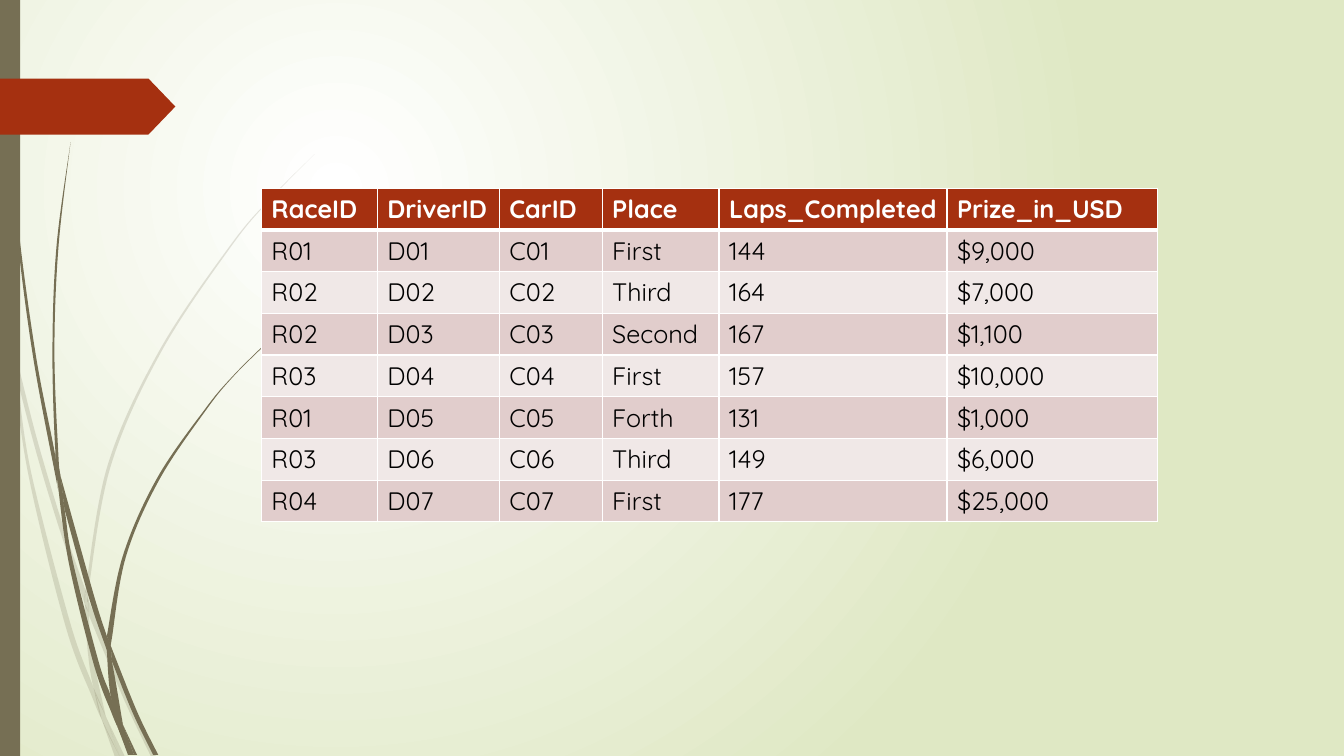
from lxml.etree import SubElement
from pptx import Presentation
from pptx.dml.color import RGBColor
from pptx.enum.shapes import MSO_SHAPE
from pptx.oxml.ns import qn
from pptx.util import Inches, Pt

WIDTH, HEIGHT = Inches(13.33), Inches(7.5)
FONT = "Quicksand"
WHITE, BLACK, MIST = "FFFFFF", "000000", "DFE8C4"
OLIVE, RUST = "766F54", "A53010"
BANDS = ["E1CDCC", "F0E8E7"]

COLUMN_WIDTHS = [1.15, 1.21, 1.02, 1.16, 2.26, 2.09]
RACES = [
    ["RaceID", "DriverID", "CarID", "Place", "Laps_Completed", "Prize_in_USD"],
    ["R01", "D01", "C01", "First", "144", "$9,000"],
    ["R02", "D02", "C02", "Third", "164", "$7,000"],
    ["R02", "D03", "C03", "Second", "167", "$1,100"],
    ["R03", "D04", "C04", "First", "157", "$10,000"],
    ["R01", "D05", "C05", "Forth", "131", "$1,000"],
    ["R03", "D06", "C06", "Third", "149", "$6,000"],
    ["R04", "D07", "C07", "First", "177", "$25,000"],
]

PALE_BLADES = [
    ([(0, 2.82), (0.09, 3.22), (0.11, 3.5)], [(0, 2.99), (0.1, 3.44), (0.11, 3.5)]),
    ([(0.14, 3.45), (0.36, 4.33), (0.62, 5.2), (0.85, 5.86)],
     [(0.17, 3.76), (0.36, 4.49), (0.58, 5.22), (0.84, 5.99)]),
    ([(0.88, 5.96), (1.27, 6.92), (1.55, 7.51)], [(0.88, 6.1), (1.23, 6.94), (1.5, 7.51)]),
    ([(1.05, 7.11), (1.24, 7.51)], [(1.05, 7.11), (1.19, 7.51)]),
    ([(0.11, 3.5), (0.17, 3.76), (0.31, 4.69), (0.7, 6.19), (0.93, 6.83), (1.01, 7.14)],
     [(0.11, 3.5), (0.28, 4.7), (0.65, 6.21), (0.92, 6.93), (1.01, 7.14)]),
    ([(0.84, 5.99), (0.88, 6.1), (0.91, 6.46), (1.05, 7.11)],
     [(0.84, 5.99), (0.87, 6.46), (0.93, 6.83), (1.05, 7.11)]),
    ([(3.12, 1.53), (2.68, 1.98), (2.29, 2.45), (1.6, 3.49), (1.1, 4.62), (0.88, 5.84),
      (0.88, 5.96)],
     [(3.12, 1.53), (2.68, 1.97), (2.28, 2.44), (1.58, 3.48), (1.07, 4.61), (0.85, 5.84),
      (0.85, 5.86)]),
    ([(1.01, 7.14), (1.19, 7.51)], [(1.01, 7.14), (1.14, 7.51)]),
    ([(0.85, 5.86), (0.88, 5.96), (0.88, 6.1)], [(0.85, 5.86), (0.84, 5.99), (0.88, 6.08)]),
    ([(0.93, 6.83), (1.05, 7.11), (1.19, 7.51)], [(0.93, 6.83), (1.01, 7.14), (1.19, 7.51)]),
]
DARK_BLADES = [
    ([(0.04, 0), (0.08, 1.09), (0.19, 2.32), (0.36, 3.55), (0.55, 4.53), (0.57, 4.81)],
     [(0.03, 0), (0.07, 1.1), (0.17, 2.33), (0.33, 3.55), (0.56, 4.77), (0.57, 4.81)]),
    ([(0.6, 4.72), (0.93, 5.9), (1.06, 6.31)], [(0.64, 5.05), (0.88, 5.92), (1.06, 6.45)]),
    ([(1.1, 6.41), (1.36, 7.06), (1.57, 7.49)], [(1.11, 6.56), (1.32, 7.08), (1.52, 7.49)]),
    ([(0.57, 4.77), (0.64, 5.05), (0.72, 5.56), (0.98, 6.57), (1.1, 6.91), (1.17, 7.22)],
     [(0.57, 4.77), (0.68, 5.57), (0.93, 6.59), (1.11, 7.08), (1.17, 7.22)]),
    ([(0.7, 1.41), (0.58, 2.45), (0.54, 3.49), (0.58, 4.53), (0.6, 4.72)],
     [(0.7, 1.41), (0.56, 2.45), (0.52, 3.49), (0.55, 4.49), (0.6, 4.72)]),
    ([(1.22, 7.19), (1.36, 7.49)], [(1.22, 7.19), (1.33, 7.49)]),
    ([(0.55, 4.49), (0.6, 4.72), (0.64, 5.05)], [(0.55, 4.53), (0.57, 4.77), (0.64, 5.05)]),
    ([(2.61, 3.44), (2.31, 3.74), (2.05, 4.06), (1.58, 4.76), (1.25, 5.52), (1.11, 6.33),
      (1.1, 6.41)],
     [(2.6, 3.44), (2.31, 3.73), (2.04, 4.05), (1.56, 4.74), (1.22, 5.51), (1.06, 6.31)]),
    ([(1.17, 7.22), (1.31, 7.49)], [(1.17, 7.22), (1.27, 7.49)]),
    ([(1.06, 6.45), (1.11, 6.56), (1.22, 7.19)], [(1.06, 6.45), (1.1, 6.91), (1.22, 7.19)]),
    ([(1.06, 6.31), (1.1, 6.41), (1.11, 6.56)], [(1.06, 6.31), (1.06, 6.45), (1.11, 6.56)]),
    ([(1.1, 6.91), (1.22, 7.19), (1.33, 7.49)], [(1.1, 6.91), (1.17, 7.22), (1.3, 7.49)]),
]


def across(percent):
    return round(WIDTH * percent / 100)


def down(percent):
    return round(HEIGHT * percent / 100)


def colour(text):
    return RGBColor.from_string(text)


def paint(shape, fill, opacity=100):
    shape.shadow.inherit = False
    shape.line.fill.background()
    shape.fill.solid()
    shape.fill.fore_color.rgb = colour(fill)
    if opacity < 100:
        tone = shape.element.spPr.find(qn("a:solidFill"))[0]
        SubElement(tone, qn("a:alpha")).set("val", str(opacity * 1000))


def add_background(slide):
    fill = slide.background.fill
    fill.gradient()
    for stop, tone in zip(fill.gradient_stops, [WHITE, MIST]):
        stop.color.rgb = colour(tone)
    gradient = slide.element.find(".//" + qn("a:gradFill"))
    linear = gradient.find(qn("a:lin"))
    radial = SubElement(gradient, qn("a:path"))
    radial.set("path", "circle")
    centre = SubElement(radial, qn("a:fillToRect"))
    for side, share in zip("ltrb", [50, 50, 100, 100]):
        centre.set(side, str(share * 1000))
    gradient.replace(linear, radial)


def bend(lines, side):
    padded = [side[0], *side, side[-1]]
    for line, a, b, c, d in zip(lines, padded, padded[1:], padded[2:], padded[3:]):
        curve = line.makeelement(qn("a:cubicBezTo"))
        first = [q + (r - p) / 6 for p, q, r in zip(a, b, c)]
        second = [r - (s - q) / 6 for q, r, s in zip(b, c, d)]
        for x, y in [first, second, c]:
            SubElement(curve, qn("a:pt"), x=str(round(x)), y=str(round(y)))
        line.getparent().replace(line, curve)


def add_blade(slide, right, left, opacity):
    outline = right + left[::-1]
    points = [(Inches(x), Inches(y)) for x, y in outline]
    builder = slide.shapes.build_freeform(*points[0])
    builder.add_line_segments(points[1:], close=True)
    shape = builder.convert_to_shape()
    local = [(x - shape.left, y - shape.top) for x, y in points]
    lines = list(shape.element.iter(qn("a:lnTo")))
    turn = len(right)
    bend(lines[:turn - 1], local[:turn])
    bend(lines[turn:], local[turn:])
    paint(shape, OLIVE, opacity)


def add_block(slide, kind, top, width, height, fill):
    shape = slide.shapes.add_shape(kind, 0, down(top), across(width), down(height))
    paint(shape, fill)
    return shape


def add_borders(cell, widths):
    properties = cell._tc.get_or_add_tcPr()
    for position, (side, width) in enumerate(widths.items()):
        line = properties.makeelement(qn("a:ln" + side), {"w": str(Pt(width))})
        fill = SubElement(line, qn("a:solidFill"))
        SubElement(fill, qn("a:srgbClr")).set("val", WHITE)
        properties.insert(position, line)


def fill_cell(cell, text, row):
    header = row == 0
    cell.fill.solid()
    cell.fill.fore_color.rgb = colour(RUST if header else BANDS[(row - 1) % 2])
    run = cell.text_frame.paragraphs[0].add_run()
    run.text = text
    run.font.name = FONT
    run.font.size = Pt(18)
    run.font.bold = header
    run.font.color.rgb = colour(WHITE if header else BLACK)
    add_borders(cell, {"L": 1, "R": 1, "T": 3 if row == 1 else 1, "B": 3 if header else 1})


def add_race_table(slide):
    row_height = down(5.4)
    frame = slide.shapes.add_table(
        len(RACES), len(COLUMN_WIDTHS), across(19.45), down(24.9),
        Inches(sum(COLUMN_WIDTHS)), row_height * len(RACES))
    table = frame.table
    table.horz_banding = False
    for column, width in zip(table.columns, COLUMN_WIDTHS):
        column.width = Inches(width)
    for row, values in enumerate(RACES):
        table.rows[row].height = row_height
        for column, text in enumerate(values):
            fill_cell(table.cell(row, column), text, row)


def main():
    presentation = Presentation()
    presentation.slide_width, presentation.slide_height = WIDTH, HEIGHT
    slide = presentation.slides.add_slide(presentation.slide_layouts[6])
    add_background(slide)
    for blades, opacity in [(PALE_BLADES, 20), (DARK_BLADES, 100)]:
        for right, left in blades:
            add_blade(slide, right, left, opacity)
    add_block(slide, MSO_SHAPE.RECTANGLE, 0, 1.5, 100, OLIVE)
    flag = add_block(slide, MSO_SHAPE.PENTAGON, 10.4, 13.05, 7.4, RUST)
    flag.adjustments[0] = 0.48
    add_race_table(slide)
    presentation.save("out.pptx")


main()
